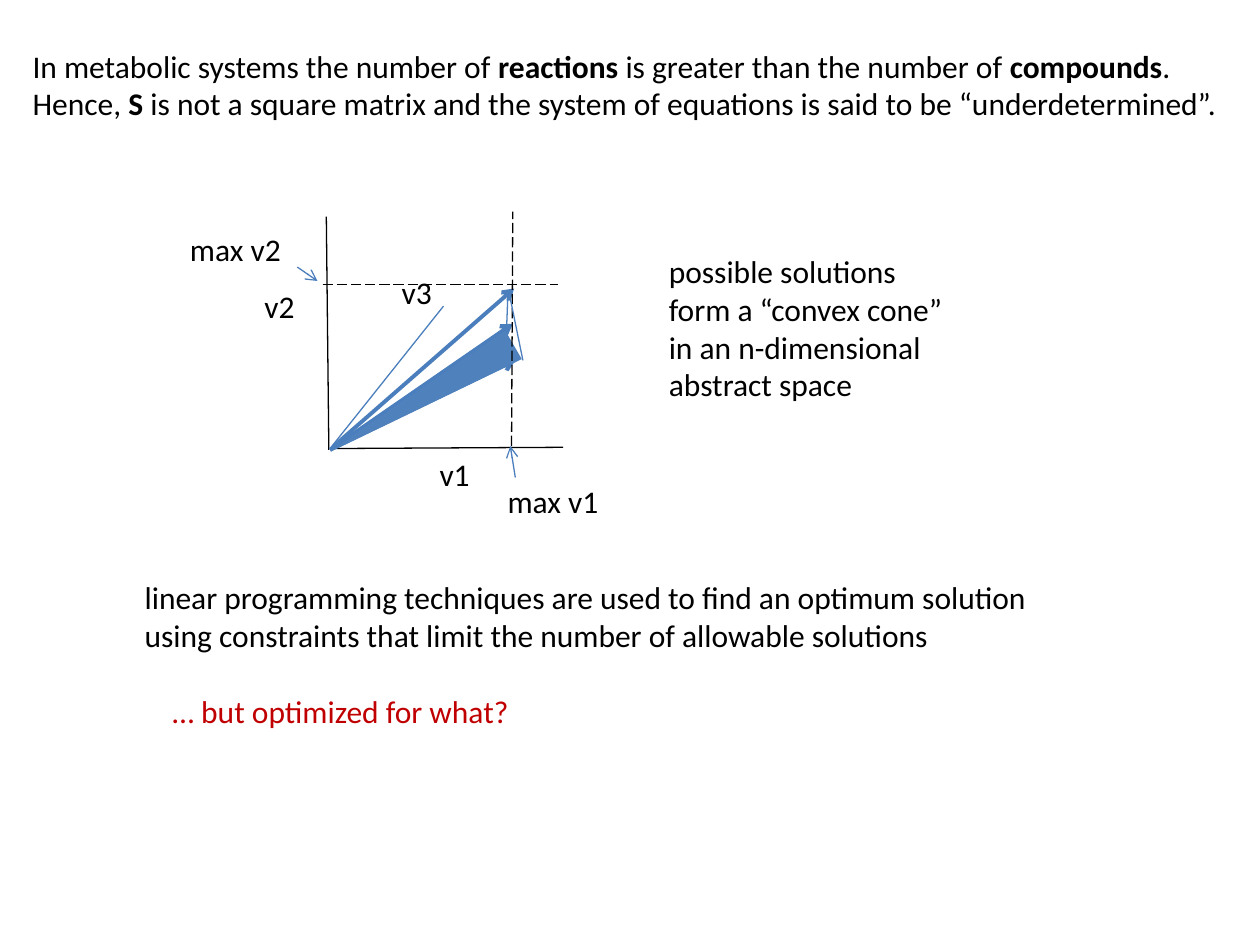
"""Build the slide on underdetermined metabolic systems and the convex cone."""
from lxml import etree
from pptx import Presentation
from pptx.dml.color import RGBColor
from pptx.enum.dml import MSO_LINE
from pptx.enum.shapes import MSO_CONNECTOR, MSO_SHAPE
from pptx.oxml.ns import qn
from pptx.util import Inches, Pt

STRAIGHT = MSO_CONNECTOR.STRAIGHT
TRIANGLE = MSO_SHAPE.ISOSCELES_TRIANGLE
DASH = MSO_LINE.LONG_DASH
BLACK, BLUE, FILL, RED = "000000", "4B7EBC", "4F81BD", "C00000"
THIN, THICK = 0.75, 2.25

AXES_AND_CONE = [
    ((2.59, 1.72), (2.61, 3.57), BLACK, THIN, None, False),
    ((2.62, 3.56), (4.47, 3.55), BLACK, THIN, None, False),
    ((2.62, 3.57), (4.09, 2.86), BLUE, THICK, None, True),
    ((2.62, 3.56), (3.52, 2.43), BLUE, THIN, None, False),
    ((2.65, 3.54), (4.08, 2.29), BLUE, THICK, None, True),
    ((2.62, 3.57), (4.07, 2.57), BLUE, THICK, None, True),
    ((4.02, 2.63), (4.03, 2.36), BLUE, THIN, None, False),
]
LIMITS = [
    ((2.56, 2.26), (4.43, 2.26), BLACK, THIN, DASH, False),
    ((4.06, 3.54), (4.07, 1.68), BLACK, THIN, DASH, False),
    ((2.36, 2.12), (2.52, 2.23), BLUE, THIN, None, True),
    ((4.09, 3.79), (4.05, 3.54), BLUE, THIN, None, True),
    ((4.15, 2.86), (4.05, 2.37), BLUE, THIN, None, False),
]
LABELS = [
    ((3.39, 3.56, 0.44, 0.4), ["v1"]),
    ((2, 2.23, 0.44, 0.4), ["v2"]),
    ((3.09, 2.12, 0.44, 0.4), ["v3"]),
    ((3.93, 3.78, 0.93, 0.4), ["max v1"]),
    ((1.41, 1.78, 0.93, 0.4), ["max v2"]),
    ((5.21, 1.95, 2.4, 1.31), ["possible solutions", "form a “convex cone”",
                               "in an n-dimensional", "abstract space"]),
]
INTRO = [
    "In metabolic systems the number of *reactions* is greater than the number of *compounds*.",
    "Hence, *S* is not a square matrix and the system of equations is said to be “underdetermined”.",
]
CLOSING = [
    "linear programming techniques are used to find an optimum solution "
    "using constraints that limit the number of allowable solutions",
    "… but optimized for what?",
]


def rgb(color):
    return RGBColor.from_string(color)


def add_line(s, start, end, color, width, dash, arrow):
    line = s.shapes.add_connector(STRAIGHT, *map(Inches, start + end))
    line.line.color.rgb = rgb(color)
    line.line.width = Pt(width)
    if dash:
        line.line.dash_style = dash
    if arrow:
        etree.SubElement(line.line._get_or_add_ln(), qn("a:tailEnd"), type="arrow")
    etree.SubElement(line._element.spPr, qn("a:effectLst"))


def add_text(s, box, lines, wrap=False):
    """Add a text box; words between asterisks are bold."""
    tf = s.shapes.add_textbox(*map(Inches, box)).text_frame
    tf.word_wrap = wrap
    for i, text in enumerate(lines):
        p = tf.add_paragraph() if i else tf.paragraphs[0]
        for j, part in enumerate(text.split("*")):
            r = p.add_run()
            r.text = part
            r.font.name = "Calibri"
            r.font.size = Pt(18)
            r.font.bold = j % 2 == 1
            r.font.color.rgb = rgb(BLACK)
    return tf


prs = Presentation()
prs.slide_width, prs.slide_height = Inches(10), Inches(7.5)
s = prs.slides.add_slide(prs.slide_layouts[6])

for line in AXES_AND_CONE:
    add_line(s, *line)

cone = s.shapes.add_shape(TRIANGLE, *map(Inches, (3.22, 2.32, 0.26, 1.68)))
cone.rotation = 239.8
cone.shadow.inherit = False
cone.fill.solid()
cone.fill.fore_color.rgb = rgb(FILL)
cone.line.fill.background()

for line in LIMITS:
    add_line(s, *line)
for box, lines in LABELS:
    add_text(s, box, lines)
add_text(s, (0.16, 0.32, 9.68, 0.71), INTRO, wrap=True)

question = add_text(s, (1.05, 4.54, 7.43, 1.31), CLOSING, wrap=True).paragraphs[1]
question.space_before = Pt(22)
question._p.get_or_add_pPr().set("marL", str(Inches(0.22)))
question.runs[0].font.color.rgb = rgb(RED)

prs.save("out.pptx")
